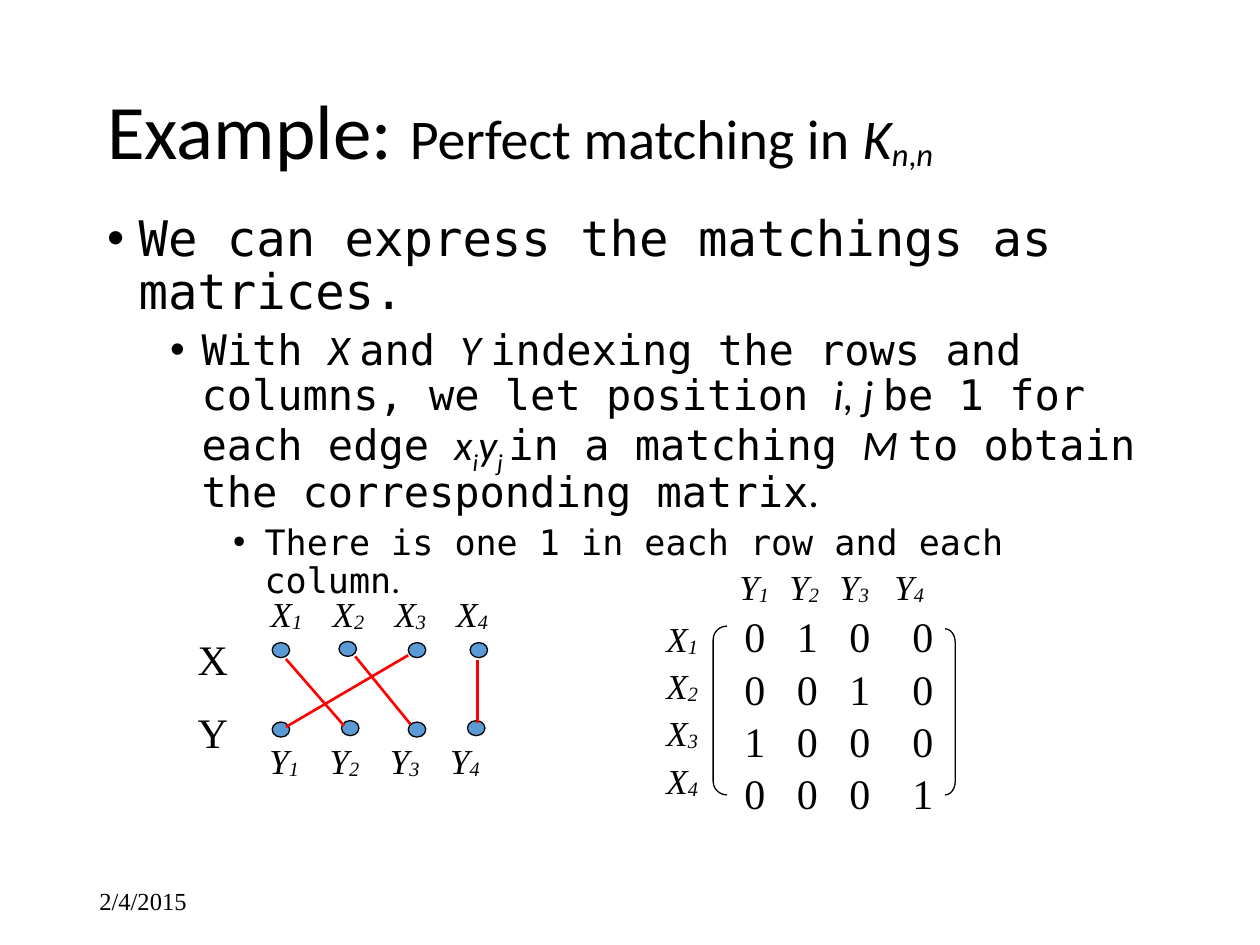
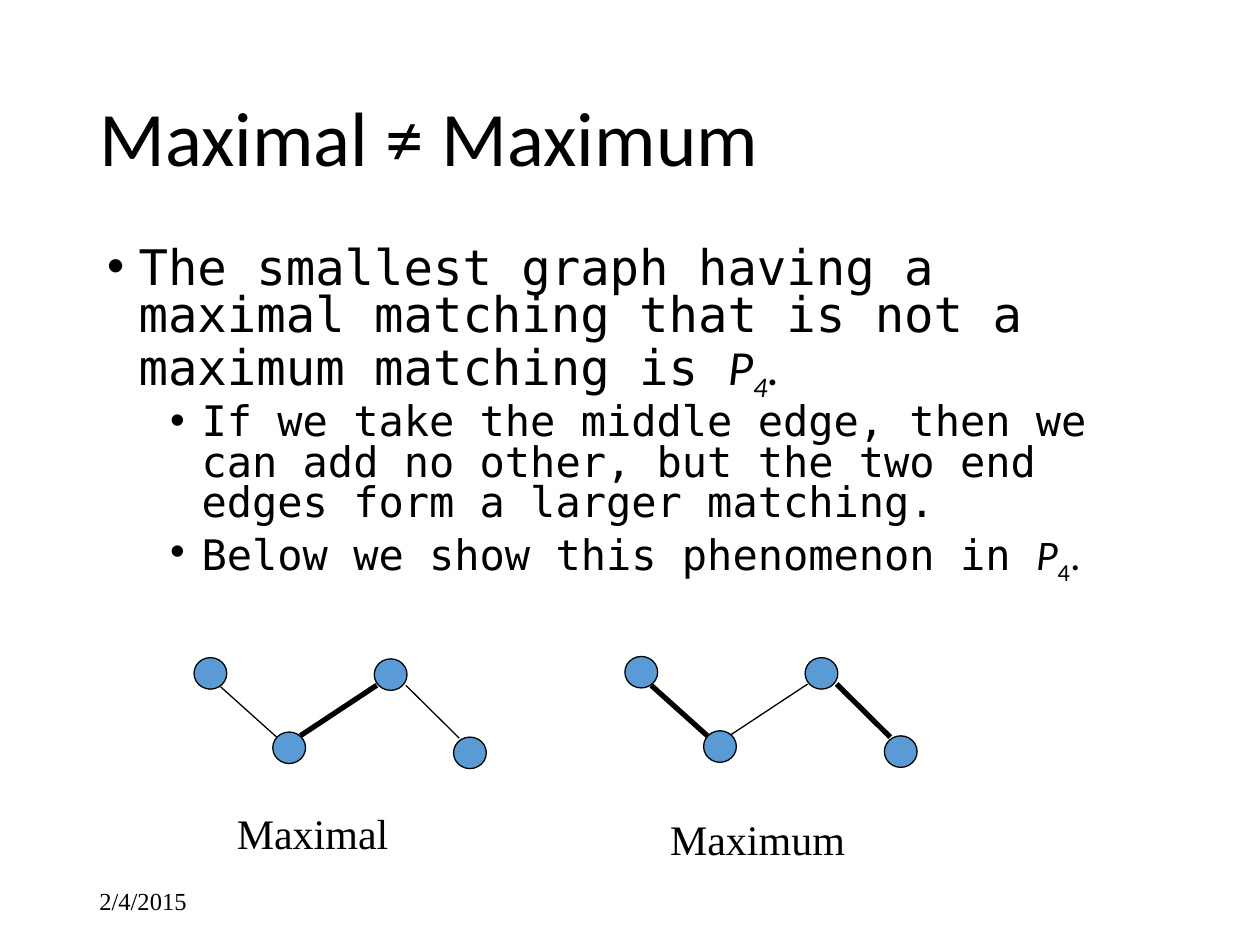
from dataclasses import dataclass
from lxml.etree import SubElement
from pptx import Presentation
from pptx.dml.color import RGBColor as RGB
from pptx.enum.shapes import MSO_CONNECTOR as CXN, MSO_SHAPE as SHP
from pptx.enum.text import MSO_ANCHOR as ANCHOR, MSO_AUTO_SIZE as AUTO, PP_ALIGN as ALIGN
from pptx.oxml.ns import qn
from pptx.util import Pt


# Theme shared by both slides
@dataclass(frozen=True)
class Theme:
    ink: RGB = RGB(0x00, 0x00, 0x00)
    vertex: RGB = RGB(0x5B, 0x9B, 0xD5)
    match: RGB = RGB(0xFF, 0x00, 0x00)
    sans: str = "Calibri"
    mono: str = "DejaVu Sans Mono"
    serif: str = "Times New Roman"
    title: int = 44
    subtitle: int = 32
    levels: tuple = (28, 24, 20)
    caption: int = 24
    label: int = 20
    date: int = 14
    thin: float = 0.75
    red_line: float = 1.5
    thick: float = 3


T = Theme()


# Text runs
@dataclass
class Run:
    text: str
    font: str
    size: float = 0
    italic: bool = False
    base: int = 0


def mono(text):
    return Run(text, T.mono)


def sans(text, size=0, base=0):
    return Run(text, T.sans, size, base=base)


def ital(text, size=0, base=0):
    return Run(text, T.sans, size, True, base)


def serif(text):
    return Run(text, T.serif)


def symbol(letter, index):
    """An indexed vertex name such as X1."""
    return [Run(letter, T.serif, italic=True),
            Run(str(index), T.serif, italic=True, base=-6)]


def add_runs(p, runs, size):
    for run in runs:
        r = p.add_run()
        r.text = run.text
        r.font.name = run.font
        r.font.size = Pt(run.size or size)
        r.font.italic = run.italic
        r.font.color.rgb = T.ink
        if run.base:
            r.font._element.set("baseline", str(run.base * 1000))


def next_paragraph(tf, index):
    return tf.add_paragraph() if index else tf.paragraphs[0]


def set_bullet(p, level):
    p.level = level
    pPr = p._p.get_or_add_pPr()
    pPr.set("marL", str(Pt(18 + 36 * level)))
    pPr.set("indent", str(Pt(-18)))
    SubElement(pPr, qn("a:buFont")).set("typeface", "Arial")
    SubElement(pPr, qn("a:buChar")).set("char", "•")


def set_tabs(p, stops):
    tabs = SubElement(p._p.get_or_add_pPr(), qn("a:tabLst"))
    for stop in stops:
        tab = SubElement(tabs, qn("a:tab"))
        tab.set("pos", str(Pt(stop)))
        tab.set("algn", "l")


# Kinds of element
def place(s, box):
    s.left, s.top, s.width, s.height = map(Pt, box)


def add_title(slide, box, runs):
    s = slide.shapes.title
    place(s, box)
    tf = s.text_frame
    tf.auto_size = AUTO.NONE
    tf.vertical_anchor = ANCHOR.MIDDLE
    p = tf.paragraphs[0]
    p.alignment = ALIGN.LEFT
    p.line_spacing = 0.9
    add_runs(p, runs, T.title)


def add_body(slide, box, items, spacing):
    s = slide.placeholders[1]
    place(s, box)
    tf = s.text_frame
    tf.auto_size = AUTO.NONE
    for k, (level, runs) in enumerate(items):
        p = next_paragraph(tf, k)
        set_bullet(p, level)
        p.line_spacing = spacing
        p.space_before = Pt(5 if k else 0)
        add_runs(p, runs, T.levels[level])


def add_text(slide, box, lines, size, gap=0, stops=(), anchor=ANCHOR.TOP):
    s = slide.shapes.add_textbox(*map(Pt, box))
    tf = s.text_frame
    tf.word_wrap = True
    tf.vertical_anchor = anchor
    for k, runs in enumerate(lines):
        p = next_paragraph(tf, k)
        if stops:
            set_tabs(p, stops)
        p.space_before = Pt(gap if k else 0)
        add_runs(p, runs, size)


def add_label_row(slide, left, top, letter, stops):
    runs = symbol(letter, 1)
    for index in (2, 3, 4):
        runs += [serif("\t")] + symbol(letter, index)
    add_text(slide, (left, top, 166, 31), [runs], T.label, stops=stops)


def add_outline(slide, kind, box, fill=None):
    s = slide.shapes.add_shape(kind, *map(Pt, box))
    s.shadow.inherit = False
    if fill is None:
        s.fill.background()
    else:
        s.fill.solid()
        s.fill.fore_color.rgb = fill
    s.line.color.rgb = T.ink
    s.line.width = Pt(T.thin)
    return s


def add_bracket(slide, kind, box, curve):
    add_outline(slide, kind, box).adjustments[0] = curve


def add_edge(slide, x1, y1, x2, y2, color, width):
    s = slide.shapes.add_connector(CXN.STRAIGHT, *map(Pt, (x1, y1, x2, y2)))
    s.line.color.rgb = color
    s.line.width = Pt(width)
    SubElement(s._element.spPr, qn("a:effectLst"))


def add_path(slide, left, top, widths):
    """A four-vertex path; widths gives the line width of each edge."""
    for dx, dy in ((0, 0), (45, 42.5), (103, 0.7), (148.3, 45.4)):
        add_outline(slide, SHP.OVAL, (left + dx, top + dy, 18.7, 18), T.vertex)
    edges = ((15.1, 16.6, 47.2, 45.4), (60.8, 44.6, 104.4, 15.8),
             (121, 15.8, 151.6, 46.1))
    for (x1, y1, x2, y2), width in zip(edges, widths):
        add_edge(slide, left + x1, top + y1, left + x2, top + y2, T.ink, width)


def new_slide(prs):
    slide = prs.slides.add_slide(prs.slide_layouts[1])
    add_text(slide, (49.7, 500.4, 162, 28.8), [[serif("2/4/2015")]], T.date,
             anchor=ANCHOR.MIDDLE)
    return slide


# Slide 1: matchings as matrices
def matching_slide(prs):
    slide = new_slide(prs)
    add_title(slide, (54, 48.2, 612, 57.6), [
        sans("Example: "), sans("Perfect matching in ", T.subtitle),
        ital("K", T.subtitle), ital("n", T.subtitle, -12),
        sans(",", T.subtitle, -12), ital("n", T.subtitle, -12)])
    add_body(slide, (54, 118.8, 612, 190), [
        (0, [mono("We can express the matchings as matrices.")]),
        (1, [mono("With "), ital("X "), mono("and "), ital("Y "),
             mono("indexing the rows and columns, we let position "),
             ital("i, j "), mono("be 1 for each edge "),
             ital("x"), ital("i", base=-25), ital("y"), ital("j ", base=-25),
             mono("in a matching "), ital("M "),
             mono("to obtain the corresponding matrix"), sans(".")]),
        (2, [mono("There is one 1 in each row and each column"), sans(".")]),
    ], 0.9)

    # Bipartite graph
    top_row = ((155.5, 367.2), (193.7, 366.5), (233.3, 367.2), (268.6, 367.2))
    bottom_row = ((155.5, 412.6), (195.1, 411.8), (233.3, 412.6), (267.1, 411.8))
    for x, y in top_row + bottom_row:
        add_outline(slide, SHP.OVAL, (x, y, 10, 8.6), T.vertex)
    for ends in ((163.4, 415.4, 233.3, 374.4), (203, 375.1, 234.7, 414),
                 (163.4, 376.6, 196.6, 414.7), (272.9, 377.3, 272.9, 413.3)):
        add_edge(slide, *ends, T.match, T.red_line)
    add_label_row(slide, 147.6, 334.8, "X", [35.4 * k for k in (1, 2, 3)])
    add_label_row(slide, 146.9, 419, "Y", [34.4 * k for k in (1, 2, 3)])
    add_text(slide, (105.8, 358.6, 39.6, 79.2), [[serif("X")], [serif("Y")]],
             T.caption, gap=13)

    # Matrix of the matching
    ones = (1, 2, 0, 3)
    rows = [[serif("\t".join("1" if col == one else "0" for col in range(4)))]
            for one in ones]
    add_text(slide, (418.3, 345.6, 140.4, 122.4), rows, T.caption, gap=1.1,
             stops=(30, 60, 96))
    add_bracket(slide, SHP.LEFT_BRACKET, (407.5, 357.8, 7.9, 96.5), 0.98)
    add_bracket(slide, SHP.RIGHT_BRACKET, (540, 359.3, 5.8, 95), 1.32)
    add_label_row(slide, 415.4, 319.7, "Y", (28.6, 57.2, 88.6))
    add_text(slide, (373.7, 349.2, 39.6, 110.2),
             [symbol("X", k) for k in (1, 2, 3, 4)], T.label, gap=3)


# Slide 2: maximal and maximum matchings
def maximal_slide(prs):
    slide = new_slide(prs)
    add_title(slide, (49.7, 28.8, 620.6, 104.4), [sans("Maximal ≠ Maximum")])
    add_body(slide, (54, 138.2, 612, 180), [
        (0, [mono("The smallest graph having a maximal matching that is not "
                  "a maximum matching is "),
             ital("P"), ital("4", base=-25), ital(".")]),
        (1, [mono("If we take the middle edge, then we can add no other, but "
                  "the two end edges form a larger matching.")]),
        (1, [mono("Below we show this phenomenon in "),
             ital("P"), sans("4", base=-25), sans(".")]),
    ], 0.8)

    # Two matchings of the same path
    add_path(slide, 110.9, 375.8, (T.thin, T.thick, T.thin))
    add_path(slide, 357.1, 375.1, (T.thick, T.thin, T.thick))
    for left, top, name in ((128.2, 457.9, "Maximal"), (375.8, 461.5, "Maximum")):
        add_text(slide, (left, top, 159, 36), [[serif(name)]], T.caption)


def main():
    prs = Presentation()
    prs.slide_width, prs.slide_height = Pt(720), Pt(540)
    matching_slide(prs)
    maximal_slide(prs)
    prs.save("out.pptx")


if __name__ == "__main__":
    main()
